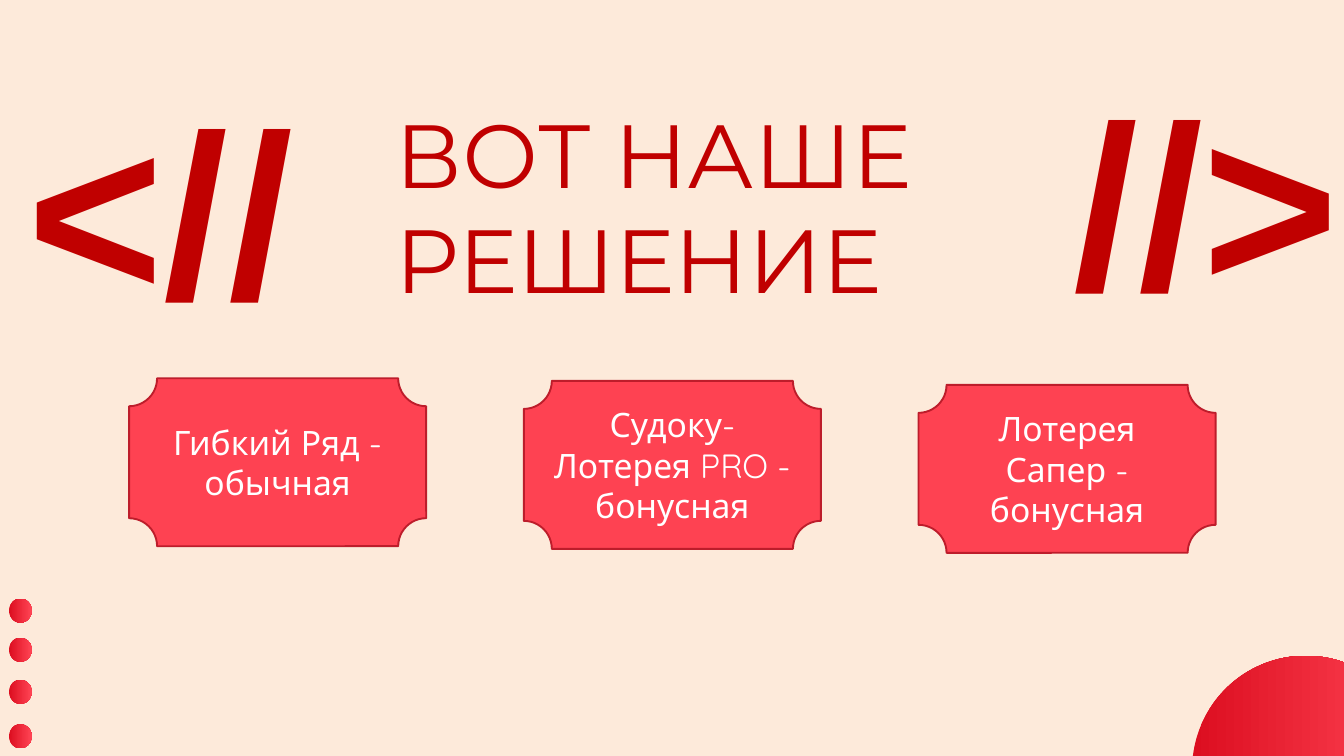
from pptx import Presentation
from pptx.dml.color import RGBColor
from pptx.enum.shapes import MSO_SHAPE
from pptx.enum.text import MSO_ANCHOR, PP_ALIGN
from pptx.util import Cm, Pt

OVAL, PLAQUE = MSO_SHAPE.OVAL, MSO_SHAPE.PLAQUE
TOP, MIDDLE = MSO_ANCHOR.TOP, MSO_ANCHOR.MIDDLE
LEFT, CENTER, RIGHT = PP_ALIGN.LEFT, PP_ALIGN.CENTER, PP_ALIGN.RIGHT

DARK_RED = "C00000"
GAMES = [
    ("Гибкий Ряд - обычная", 0),
    ("Судоку-Лотерея PRO - бонусная", 0.1),
    ("Лотерея Сапер - бонусная", 0.25),
]


def color(value):
    """Return the colour for a hex string."""
    return RGBColor.from_string(value)


def write(frame, text, *, size, font, ink, bold=False, align=LEFT,
          anchor=TOP, spacing=None, margin=None):
    """Fill a text frame with one formatted paragraph."""
    frame.word_wrap = True
    frame.vertical_anchor = anchor
    if margin is not None:
        frame.margin_left = frame.margin_right = Cm(margin)
        frame.margin_top = frame.margin_bottom = Cm(margin)
    paragraph = frame.paragraphs[0]
    paragraph.alignment = align
    if spacing:
        paragraph.line_spacing = Pt(spacing)
    run = paragraph.add_run()
    run.text = text
    run.font.size = Pt(size)
    run.font.name = font
    run.font.bold = bold
    run.font.color.rgb = color(ink)


def add_ball(slide, left, top, width, height):
    """Draw an oval with a left-to-right red gradient."""
    ball = slide.shapes.add_shape(OVAL, Cm(left), Cm(top), Cm(width), Cm(height))
    ball.shadow.inherit = False
    ball.line.fill.background()
    ball.fill.gradient()
    ball.fill.gradient_angle = 0
    for stop, value in zip(ball.fill.gradient_stops, ("DC0E20", "FF4454")):
        stop.color.rgb = color(value)


def add_dots(slide, left, top):
    """Draw the column of small dots."""
    for offset in (0, 1.48, 3.07, 4.75):
        add_ball(slide, left, top + offset, 0.86, 0.91)


def add_heading(slide, left, top, width):
    """Place the title between its opening and closing brackets."""
    title = slide.shapes.add_textbox(
        Cm(left + 14.17), Cm(top + 1.8), Cm(23.06), Cm(8.05))
    write(title.text_frame, "ВОТ НАШЕ РЕШЕНИЕ", size=96, font="Montserrat",
          ink=DARK_RED, spacing=112.8, margin=0)
    brackets = [
        ("<//", left, top + 0.35, 14.4, LEFT),
        ("//>", left + width - 13.84, top, 13.84, RIGHT),
    ]
    for text, x, y, span, align in brackets:
        bracket = slide.shapes.add_textbox(Cm(x), Cm(y), Cm(span), Cm(10.95))
        write(bracket.text_frame, text, size=250, font="Arial", ink=DARK_RED,
              bold=True, align=align)


def add_games(slide, left, top, width):
    """Spread the game plaques evenly across the given width."""
    plaque_width = 11.23
    step = (width - plaque_width) / (len(GAMES) - 1)
    for index, (name, drop) in enumerate(GAMES):
        plaque = slide.shapes.add_shape(
            PLAQUE, Cm(left + index * step), Cm(top + drop),
            Cm(plaque_width), Cm(6.35))
        plaque.shadow.inherit = False
        plaque.fill.solid()
        plaque.fill.fore_color.rgb = color("FE4252")
        plaque.line.color.rgb = color("BD1D2B")
        plaque.line.width = Pt(2)
        write(plaque.text_frame, name, size=36, font="Quicksand", ink="FFFFFF",
              align=CENTER, anchor=MIDDLE)


def main():
    """Build the slide and save it."""
    deck = Presentation()
    deck.slide_width, deck.slide_height = Cm(50.8), Cm(28.58)
    slide = deck.slides.add_slide(deck.slide_layouts[6])
    slide.background.fill.solid()
    slide.background.fill.fore_color.rgb = color("FDEADA")
    add_ball(slide, 45.06, 24.79, 8.59, 8.59)
    add_dots(slide, 0.34, 22.63)
    add_heading(slide, 0.79, 2.01, 50.08)
    add_games(slide, 4.88, 14.3, 41.07)
    deck.save("out.pptx")


if __name__ == "__main__":
    main()
